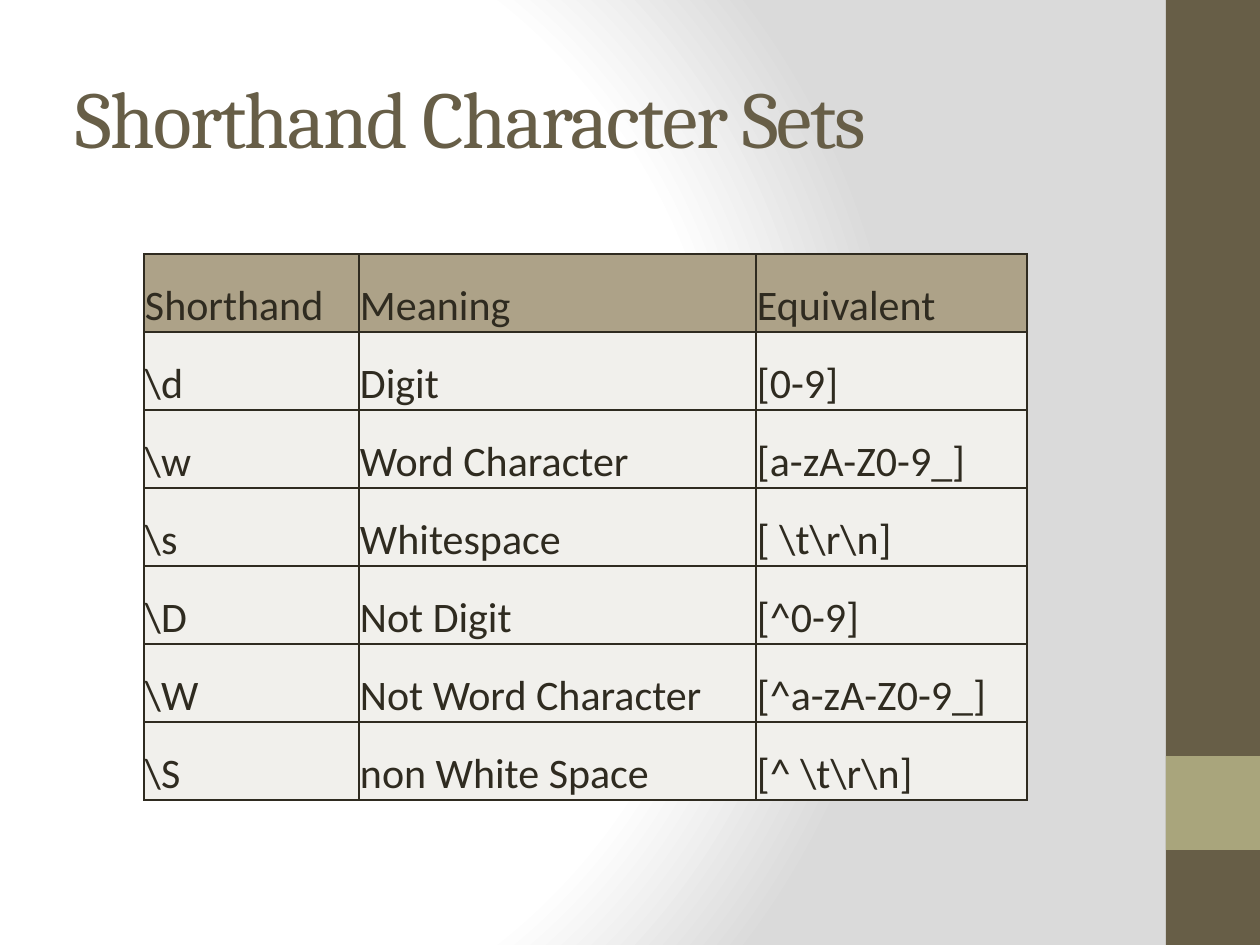
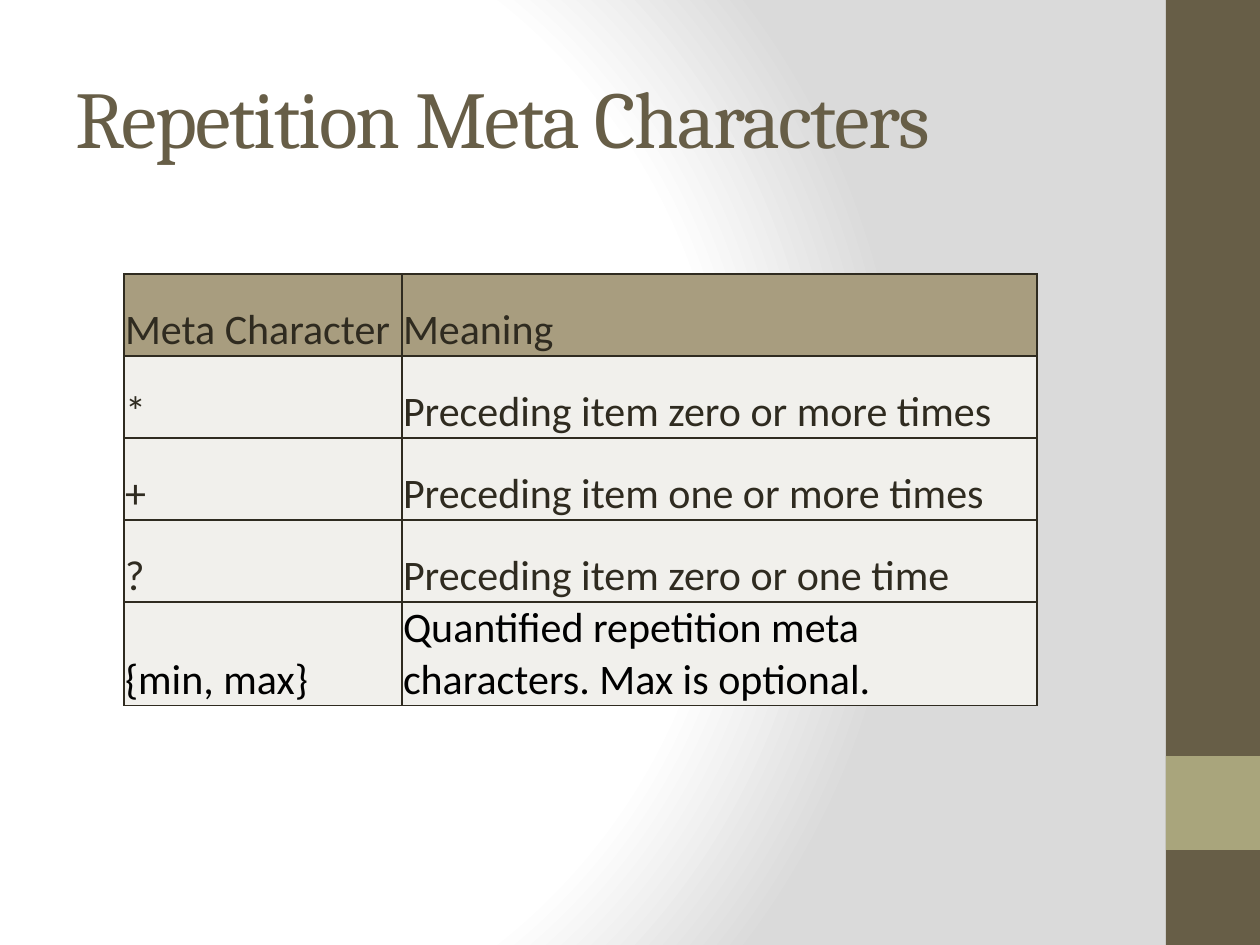
"""Build two slides that list regex shorthand sets and repetition signs."""
from dataclasses import dataclass
from typing import Any

from lxml.etree import SubElement
from pptx import Presentation
from pptx.dml.color import RGBColor
from pptx.enum.shapes import MSO_SHAPE
from pptx.enum.text import MSO_ANCHOR, MSO_AUTO_SIZE, PP_ALIGN
from pptx.oxml import parse_xml
from pptx.oxml.ns import nsdecls, qn
from pptx.util import Emu, Pt

HUES = {"brown": "675E47", "sage": "A9A57C", "ink": "2F2B20", "black": "000000",
        "tan": "ADA288", "khaki": "A89D7F", "pale": "F1F0EC",
        "white": "FFFFFF", "gray": "DADADA"}
STOPS = ((0, "white"), (75, "white"), (100, "gray"))
SIDES = ("a:lnL", "a:lnR", "a:lnT", "a:lnB")


def px(count: int) -> Emu:
    """Turn pixels into EMU."""
    return Emu(round(count * 914400 / 126))


HEAD = {"size": Pt(46), "name": "Cambria", "bold": False}
TEXT = {"size": Pt(24), "name": "Calibri", "bold": False}
FRAME = {"word_wrap": True, "auto_size": MSO_AUTO_SIZE.NONE,
         "vertical_anchor": MSO_ANCHOR.MIDDLE}
CELL = {"margin_left": px(1), "margin_right": px(1), "margin_top": px(1),
        "margin_bottom": px(0), "vertical_anchor": MSO_ANCHOR.BOTTOM}
PLAIN = {"first_row": False, "horz_banding": False}


@dataclass(frozen=True)
class Box:
    """A place on the slide in pixels."""
    left: int
    top: int
    width: int
    height: int

    def emu(self) -> tuple[Emu, ...]:
        """Return the four lengths in EMU."""
        return tuple(map(px, (self.left, self.top, self.width, self.height)))


@dataclass(frozen=True)
class Band:
    """A filled side band."""
    box: Box
    hue: str


@dataclass(frozen=True)
class Page:
    """A title with its table."""
    title: str
    left: int
    top: int
    cols: tuple[int, ...]
    step: int
    head: str
    rows: tuple[tuple[str, ...], ...]
    last: str = "ink"


TITLE = Box(63, 38, 1050, 157)
BANDS = (Band(Box(1166, 0, 94, 945), "brown"), Band(Box(1166, 756, 94, 94), "sage"))
PAGES = (
    Page("Shorthand Character Sets", 144, 254, (215, 397, 271), 78, "tan", (
        ("Shorthand", "Meaning", "Equivalent"),
        (r"\d", "Digit", "[0-9]"),
        (r"\w", "Word Character", "[a-zA-Z0-9_]"),
        (r"\s", "Whitespace", r"[ \t\r\n]"),
        (r"\D", "Not Digit", "[^0-9]"),
        (r"\W", "Not Word Character", "[^a-zA-Z0-9_]"),
        (r"\S", "non White Space", r"[^ \t\r\n]"))),
    Page("Repetition Meta Characters", 124, 274, (278, 635), 82, "khaki", (
        ("Meta Character", "Meaning"),
        ("*", "Preceding item zero or more times"),
        ("+", "Preceding item one or more times"),
        ("?", "Preceding item zero or one time"),
        ("{min, max}", "Quantified repetition meta characters. Max is optional.")),
        "black"),
)


def dress(item: Any, form: dict[str, Any]) -> None:
    """Set each format value on an item."""
    for name, value in form.items():
        setattr(item, name, value)


def paint(fill: Any, hue: str) -> None:
    """Fill with a solid colour."""
    fill.solid()
    fill.fore_color.rgb = RGBColor.from_string(HUES[hue])


def write(item: Any, text: str, form: dict[str, Any], hue: str) -> Any:
    """Write one left-aligned run and return it."""
    para = item.text_frame.paragraphs[0]
    para.alignment = PP_ALIGN.LEFT
    run = para.add_run()
    run.text = text
    dress(run.font, form)
    run.font.color.rgb = RGBColor.from_string(HUES[hue])
    return run


def shade(master: Any) -> None:
    """Give the master a round gradient."""
    paint(master.background.fill, "white")
    stops = "".join(f'<a:gs pos="{pos * 1000}"><a:srgbClr val="{HUES[hue]}"/></a:gs>'
                    for pos, hue in STOPS)
    grad = parse_xml(
        f'<a:gradFill {nsdecls("a")} rotWithShape="1"><a:gsLst>{stops}</a:gsLst>'
        '<a:path path="circle"><a:fillToRect l="20000" t="50000" r="100000" b="50000"/>'
        '</a:path></a:gradFill>')
    back = master.element.find(".//" + qn("p:bgPr"))
    back.replace(back.find(qn("a:solidFill")), grad)


def rule(cell: Any) -> None:
    """Draw a thin line on each side of a cell."""
    props = cell._tc.get_or_add_tcPr()
    for spot, side in enumerate(SIDES):
        line = SubElement(props, qn(side), w=str(Pt(1)))
        SubElement(SubElement(line, qn("a:solidFill")), qn("a:srgbClr"), val=HUES["ink"])
        props.insert(spot, line)


def band(slide: Any, part: Band) -> None:
    """Draw a side band."""
    shape = slide.shapes.add_shape(MSO_SHAPE.RECTANGLE, *part.box.emu())
    shape.shadow.inherit = False
    paint(shape.fill, part.hue)
    shape.line.fill.background()


def head(slide: Any, text: str) -> None:
    """Place and write the title."""
    title = slide.shapes.title
    dress(title, dict(zip(("left", "top", "width", "height"), TITLE.emu())))
    dress(title.text_frame, FRAME)
    run = write(title, text, HEAD, "brown")
    run.font._element.set("spc", "-100")


def grid(slide: Any, page: Page) -> None:
    """Draw the table of a page."""
    box = Box(page.left, page.top, sum(page.cols), page.step * len(page.rows))
    table = slide.shapes.add_table(len(page.rows), len(page.cols), *box.emu()).table
    dress(table, PLAIN)
    for col, width in zip(table.columns, page.cols):
        col.width = px(width)
    end = len(page.rows) - 1
    for y, row in enumerate(page.rows):
        table.rows[y].height = px(page.step)
        for x, text in enumerate(row):
            cell = table.cell(y, x)
            dress(cell, CELL)
            paint(cell.fill, "pale" if y else page.head)
            rule(cell)
            write(cell, text, TEXT, page.last if y == end else "ink")


def main() -> None:
    """Build and save the deck."""
    deck = Presentation()
    dress(deck, {"slide_width": px(1260), "slide_height": px(945)})
    shade(deck.slide_master)
    for page in PAGES:
        slide = deck.slides.add_slide(deck.slide_layouts[5])
        for part in BANDS:
            band(slide, part)
        head(slide, page.title)
        grid(slide, page)
    deck.save("out.pptx")


main()
